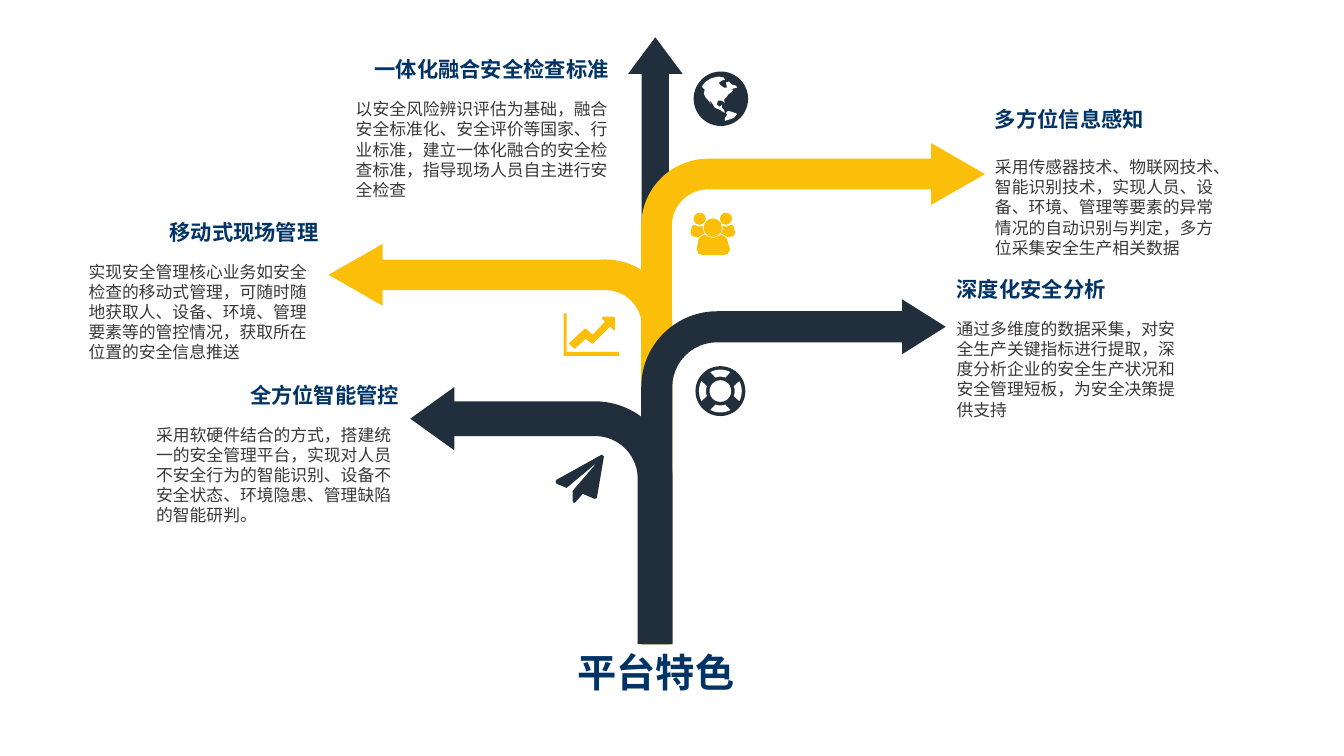
from dataclasses import dataclass
from math import cos, radians, sin

from pptx import Presentation
from pptx.dml.color import RGBColor
from pptx.enum.shapes import MSO_SHAPE
from pptx.enum.text import MSO_ANCHOR, PP_ALIGN
from pptx.util import Inches, Pt

UP_ARROW, BENT_ARROW, OVAL = MSO_SHAPE.UP_ARROW, MSO_SHAPE.BENT_ARROW, MSO_SHAPE.OVAL
LEFT, RIGHT, CENTER = PP_ALIGN.LEFT, PP_ALIGN.RIGHT, PP_ALIGN.CENTER
TOP = MSO_ANCHOR.TOP


@dataclass(frozen=True)
class Theme:
    font: str = "Noto Sans CJK SC"
    navy: str = "212E3C"
    gold: str = "FBBF09"
    white: str = "FFFFFF"
    heading: str = "003366"
    body: str = "3B3838"
    title_size: float = 28
    heading_size: float = 15.2
    body_size: float = 12
    title_line: float = 36
    heading_line: float = 19.2
    body_line: float = 14.4


THEME = Theme()
GAP = 12
BASE = 6.39

BRANCHES = [
    (6.36, 1.42, 3.41, THEME.gold, False, (0.089, 0.09, 0.157, 0.195)),
    (3.26, 2.42, 3.41, THEME.gold, True, (0.089, 0.09, 0.157, 0.195)),
    (6.36, 2.97, 3.02, THEME.navy, False, (0.102, 0.09, 0.143, 0.249)),
    (4.07, 3.84, 2.6, THEME.navy, True, (0.135, 0.123, 0.171, 0.301)),
]

FEATURES = [
    ((1.45, 3.73, 2.61, 1.54), RIGHT, GAP, "全方位智能管控",
     "采用软硬件结合的方式，搭建统一的安全管理平台，实现对人员不安全行为的智能识别、"
     "设备不安全状态、环境隐患、管理缺陷的智能研判。"),
    ((0.78, 2.11, 2.48, 1.54), RIGHT, GAP, "移动式现场管理",
     "实现安全管理核心业务如安全检查的移动式管理，可随时随地获取人、设备、环境、"
     "管理要素等的管控情况，获取所在位置的安全信息推送"),
    ((9.39, 2.68, 2.48, 1.54), LEFT, GAP, "深度化安全分析",
     "通过多维度的数据采集，对安全生产关键指标进行提取，深度分析企业的安全生产状况和"
     "安全管理短板，为安全决策提供支持"),
    ((3.43, 0.5, 2.71, 1.54), RIGHT, GAP, "一体化融合安全检查标准",
     "以安全风险辨识评估为基础，融合安全标准化、安全评价等国家、行业标准，"
     "建立一体化融合的安全检查标准，指导现场人员自主进行安全检查"),
    ((9.77, 0.99, 2.48, 1.62), LEFT, 18, "多方位信息感知",
     "采用传感器技术、物联网技术、智能识别技术，实现人员、设备、环境、管理等要素的"
     "异常情况的自动识别与判定，多方位采集安全生产相关数据"),
]

PLANE = [(48, 2), (41, 43), (39, 44), (27, 39), (20, 47), (18, 48), (17, 46), (17, 36),
         (41, 8), (11, 33), (1, 29), (0, 27), (1, 25), (46, 0)]
AXES = [(0, 0), (3, 0), (3, 38), (55, 38), (55, 42), (0, 42)]
TREND = [(5, 30), (21, 15), (22, 15), (29, 21), (41, 8), (38, 5), (39, 3), (50, 3),
         (51, 5), (51, 16), (50, 17), (46, 13), (29, 30), (28, 30), (22, 25), (11, 35)]
PERSON = [(0, 20), (1, 14), (3, 12), (9, 14), (12, 13), (12, 16), (14, 21), (11, 22),
          (8, 24), (5, 24), (1, 23)]
LEADER = [(6, 36), (8, 26), (11, 23), (14, 22), (18, 24), (22, 25), (26, 24), (30, 22),
          (33, 23), (36, 26), (39, 36), (37, 41), (33, 42), (12, 42), (8, 41)]
CONTINENTS = [
    [(8, 15), (12, 10), (17, 7), (20, 6), (25, 5), (30, 6), (31, 8), (28, 9), (25, 11),
     (26, 13), (30, 16), (33, 16), (32, 11), (35, 10), (38, 13), (42, 14), (43, 16),
     (39, 17), (36, 19), (39, 18), (38, 20), (34, 23), (33, 25), (30, 28), (31, 31),
     (28, 29), (24, 29), (23, 33), (26, 35), (28, 33), (28, 36), (30, 38), (31, 41),
     (29, 40), (26, 38), (21, 36), (18, 31), (15, 28), (17, 32), (14, 28), (12, 26),
     (10, 22), (11, 18)],
    [(32, 41), (34, 39), (38, 40), (43, 42), (40, 46), (31, 49), (31, 46), (33, 43)],
]


def paint(shape, color):
    shape.fill.solid()
    shape.fill.fore_color.rgb = RGBColor.from_string(color)
    shape.line.fill.background()
    shape.shadow.inherit = False


def preset(slide, kind, box, color, adjustments=(), flip=False):
    shape = slide.shapes.add_shape(kind, *map(Inches, box))
    for index, value in enumerate(adjustments):
        shape.adjustments[index] = value
    if flip:
        shape._element.spPr.xfrm.set("flipH", "1")
    paint(shape, color)


def disc(slide, origin, center, radius, color):
    left, top = (start + (middle - radius) / 100 for start, middle in zip(origin, center))
    preset(slide, OVAL, (left, top, radius / 50, radius / 50), color)


def outline(slide, origin, points, color):
    left, top = origin
    vertices = [(Inches(left + x / 100), Inches(top + y / 100)) for x, y in points]
    builder = slide.shapes.build_freeform(*vertices[0])
    builder.add_line_segments(vertices[1:], close=True)
    paint(builder.convert_to_shape(), color)


def write(paragraph, text, *, size, color, line, bold=False, align=LEFT, before=0):
    paragraph.alignment = align
    paragraph.line_spacing = Pt(line)
    paragraph.space_before = Pt(before)
    run = paragraph.add_run()
    run.text = text
    run.font.name = THEME.font
    run.font.size = Pt(size)
    run.font.bold = bold
    run.font.color.rgb = RGBColor.from_string(color)


def text_frame(slide, box):
    frame = slide.shapes.add_textbox(*map(Inches, box)).text_frame
    frame.word_wrap = True
    frame.vertical_anchor = TOP
    return frame


def tree(slide, base):
    top = 0.37
    preset(slide, UP_ARROW, (6.23, top, 0.54, base - top), THEME.navy, (0.5, 0.671))
    for left, top, width, color, flip, adjustments in BRANCHES:
        preset(slide, BENT_ARROW, (left, top, width, base - top), color, adjustments, flip)


def feature(slide, box, align, gap, heading, body):
    frame = text_frame(slide, box)
    write(frame.paragraphs[0], heading, size=THEME.heading_size, color=THEME.heading,
          line=THEME.heading_line, bold=True, align=align)
    write(frame.add_paragraph(), body, size=THEME.body_size, color=THEME.body,
          line=THEME.body_line, before=gap)


def globe(slide, origin):
    disc(slide, origin, (27, 27), 27, THEME.navy)
    for continent in CONTINENTS:
        outline(slide, origin, continent, THEME.white)


def lifebuoy(slide, origin):
    center = (24.5, 25)
    disc(slide, origin, center, 24.75, THEME.navy)
    disc(slide, origin, center, 10.75, THEME.white)
    for middle in range(0, 360, 90):
        arcs = [(21.25, range(-28, 29, 7)), (14.25, range(20, -21, -5))]
        sector = [(center[0] + radius * cos(radians(middle + turn)),
                   center[1] + radius * sin(radians(middle + turn)))
                  for radius, turns in arcs for turn in turns]
        outline(slide, origin, sector, THEME.white)


def people(slide, origin):
    width = 44
    for center, radius in [((9, 6), 6), ((22, 15), 9.25), ((width - 9, 6), 6)]:
        disc(slide, origin, center, radius, THEME.gold)
    mirrored = [(width - x, y) for x, y in PERSON]
    for body in (PERSON, LEADER, mirrored):
        outline(slide, origin, body, THEME.gold)


def growth_chart(slide, origin):
    for points in (AXES, TREND):
        outline(slide, origin, points, THEME.gold)


def paper_plane(slide, origin):
    outline(slide, origin, PLANE, THEME.navy)


def main_title(slide, box):
    write(text_frame(slide, box).paragraphs[0], "平台特色", size=THEME.title_size,
          color=THEME.heading, line=THEME.title_line, bold=True, align=CENTER)


def main():
    presentation = Presentation()
    presentation.slide_width, presentation.slide_height = Inches(13.33), Inches(7.5)
    slide = presentation.slides.add_slide(presentation.slide_layouts[6])
    tree(slide, BASE)
    for item in FEATURES:
        feature(slide, *item)
    paper_plane(slide, (5.51, 4.51))
    globe(slide, (6.88, 0.71))
    growth_chart(slide, (5.59, 3.11))
    lifebuoy(slide, (6.9, 3.63))
    people(slide, (6.85, 2.11))
    main_title(slide, (5.15, 6.35, 2.71, 0.88))
    presentation.save("out.pptx")


if __name__ == "__main__":
    main()
